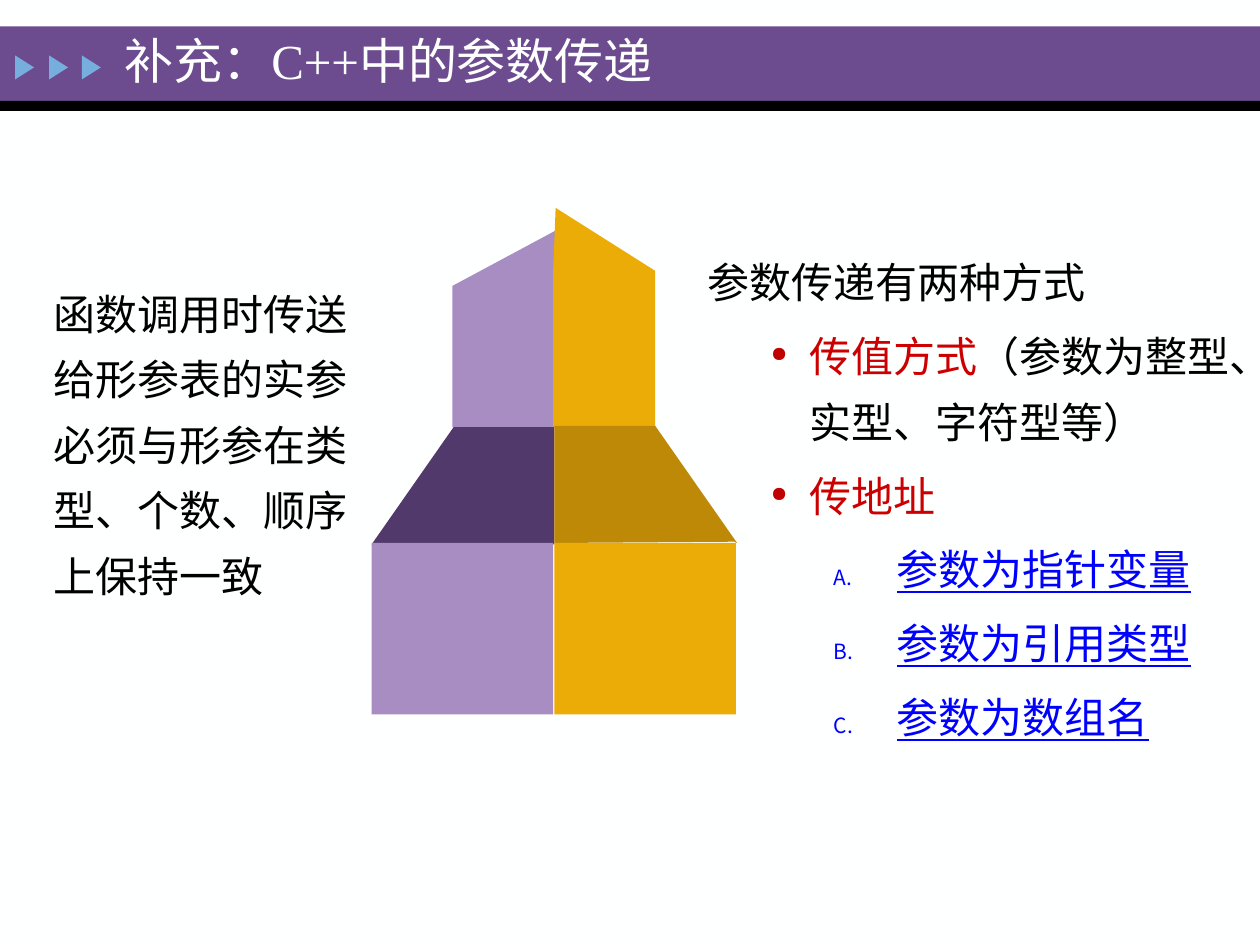
from lxml import etree
from pptx import Presentation
from pptx.dml.color import RGBColor
from pptx.enum.shapes import MSO_SHAPE
from pptx.enum.text import MSO_ANCHOR
from pptx.oxml.ns import qn
from pptx.util import Pt

PX = 9144
FONT = "Times New Roman"
RECTANGLE = MSO_SHAPE.RECTANGLE
TRIANGLE = MSO_SHAPE.ISOSCELES_TRIANGLE
TOP = MSO_ANCHOR.TOP
MIDDLE = MSO_ANCHOR.MIDDLE

WHITE = RGBColor(0xFE, 0xFF, 0xFF)
BLACK = RGBColor(0x00, 0x00, 0x00)
PURPLE = RGBColor(0x6C, 0x4C, 0x8F)
SKY = RGBColor(0x76, 0xAE, 0xDD)
LILAC = RGBColor(0xA7, 0x8D, 0xC2)
DARK_PURPLE = RGBColor(0x51, 0x39, 0x6B)
GOLD = RGBColor(0xEB, 0xAC, 0x07)
DARK_GOLD = RGBColor(0xBE, 0x89, 0x06)
RED = RGBColor(0xCC, 0x00, 0x00)
BULLET_RED = RGBColor(0xC0, 0x00, 0x00)
BLUE = RGBColor(0x00, 0x00, 0xFF)

DOT = ("a:buChar", {"char": "●"})
LETTER = ("a:buAutoNum", {"type": "alphaUcPeriod"})
LEVELS = {
    1: (81, -31, BULLET_RED, DOT),
    2: (150, -50, BLUE, LETTER),
}


class SlideBuilder:
    def __init__(self, slide):
        self.slide = slide
        self.shapes = slide.shapes

    def background(self, color):
        fill = self.slide.background.fill
        fill.solid()
        fill.fore_color.rgb = color

    def paint(self, shape, color):
        shape.shadow.inherit = False
        shape.fill.solid()
        shape.fill.fore_color.rgb = color
        shape.line.fill.background()

    def preset(self, kind, left, top, width, height, color, rotation=0):
        shape = self.shapes.add_shape(
            kind, left * PX, top * PX, width * PX, height * PX)
        shape.rotation = rotation
        self.paint(shape, color)

    def outline(self, points, color):
        builder = self.shapes.build_freeform(*points[0], scale=PX)
        builder.add_line_segments(points[1:], close=True)
        self.paint(builder.convert_to_shape(), color)

    def bullet(self, paragraph, level):
        margin, indent, color, (tag, attributes) = LEVELS[level]
        paragraph.level = level
        properties = paragraph._p.get_or_add_pPr()
        properties.set("marL", str(margin * PX))
        properties.set("indent", str(indent * PX))
        bullet_color = etree.SubElement(properties, qn("a:buClr"))
        etree.SubElement(bullet_color, qn("a:srgbClr"), val=str(color))
        etree.SubElement(properties, qn("a:buSzPct"), val="50000")
        etree.SubElement(properties, qn(tag), attributes)

    def text(self, left, top, width, height, paragraphs, size=24,
             spacing=1.3, anchor=TOP):
        box = self.shapes.add_textbox(
            left * PX, top * PX, width * PX, height * PX)
        frame = box.text_frame
        frame.word_wrap = True
        frame.vertical_anchor = anchor
        for index, (level, runs) in enumerate(paragraphs):
            paragraph = frame.add_paragraph() if index else frame.paragraphs[0]
            if level:
                self.bullet(paragraph, level)
            paragraph.line_spacing = spacing
            if index:
                paragraph.space_before = Pt(4.8)
            for words, color in runs:
                run = paragraph.add_run()
                run.text = words
                run.font.name = FONT
                run.font.size = Pt(size)
                run.font.color.rgb = color
                if level == 2:
                    run.font.underline = True


def main():
    presentation = Presentation()
    presentation.slide_width = 1000 * PX
    presentation.slide_height = 750 * PX
    slide = presentation.slides.add_slide(presentation.slide_layouts[6])
    builder = SlideBuilder(slide)
    builder.background(WHITE)

    builder.preset(RECTANGLE, 0, 21, 1000, 59, PURPLE)
    builder.preset(RECTANGLE, 0, 80, 1000, 8, BLACK)
    for left in (10, 37, 63):
        builder.preset(TRIANGLE, left, 46, 19, 15, SKY, rotation=90)

    builder.text(33, 212, 273, 252, [
        (0, [("函数调用时传送给形参表的实参必须与形参在类型、个数、顺序上保持一致", BLACK)]),
    ])
    builder.text(89, 1, 650, 93, [(0, [("补充：C++中的参数传递", WHITE)])],
                 size=28, spacing=1.0, anchor=MIDDLE)

    builder.outline([(440, 227), (440, 339), (359, 339), (359, 227),
                     (441, 183)], LILAC)
    builder.outline([(439, 215), (439, 339), (520, 339), (520, 215),
                     (441, 165)], GOLD)
    builder.outline([(295, 432), (360, 339), (440, 339), (440, 432),
                     (297, 431)], DARK_PURPLE)
    builder.outline([(585, 431), (520, 338), (440, 338), (440, 431),
                     (583, 430)], DARK_GOLD)
    for left, color in ((295, LILAC), (440, GOLD)):
        builder.preset(RECTANGLE, left, 431, 144, 136, color)

    address_kinds = ("参数为指针变量", "参数为引用类型", "参数为数组名")
    builder.text(552, 187, 440, 450, [
        (0, [("参数传递有两种方式", BLACK)]),
        (1, [("传值方式", RED), ("（参数为整型、实型、字符型等）", BLACK)]),
        (1, [("传地址", RED)]),
        *((2, [(kind, BLUE)]) for kind in address_kinds),
    ])

    presentation.save("out.pptx")


if __name__ == "__main__":
    main()
